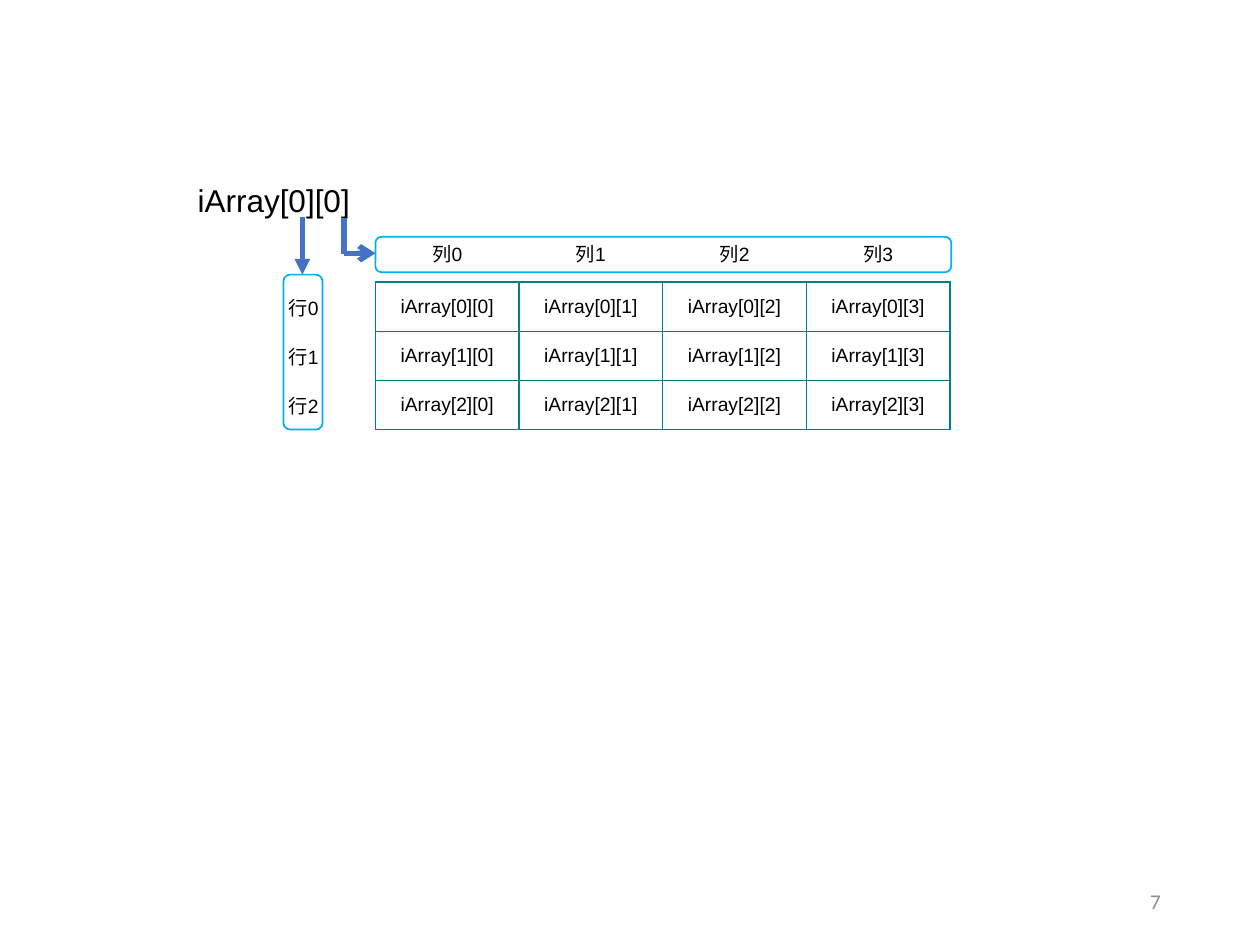
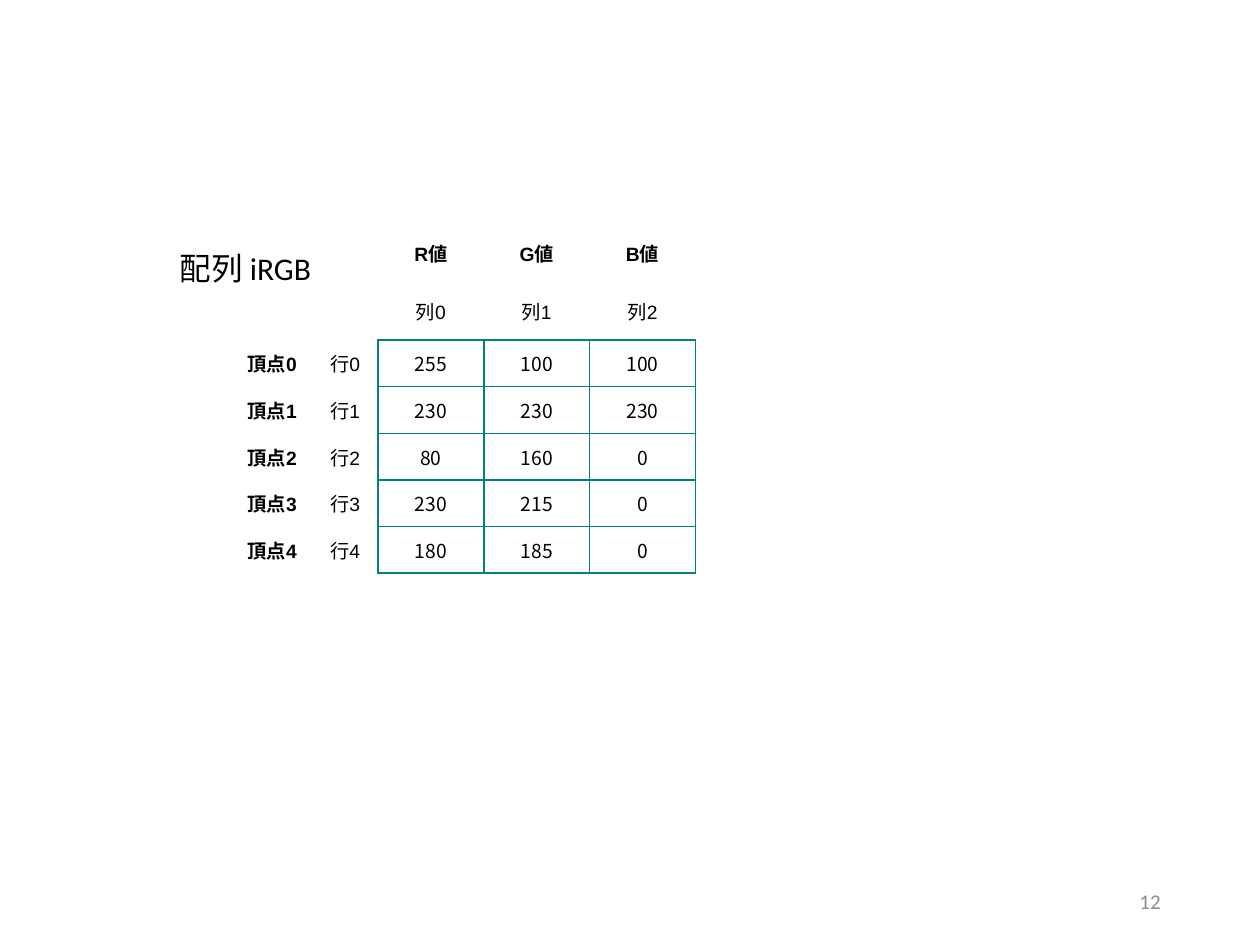
"""Builds two slides that show two-dimensional arrays as labelled grids."""
from lxml import etree
from pptx import Presentation
from pptx import util as u
from pptx.dml import color
from pptx.enum import shapes, text
from pptx.oxml import ns

COLORS = {"ink": "000000", "number": "8C8C8C", "grid": "008080",
          "frame": "00B0F0", "arrow": "4472C4"}
LATIN, SANS, CJK = "Arial", "Calibri", "Noto Sans CJK JP"
ORIGIN = (1.84, 1.78)
PAGE_NUMBER = (7.06, 6.95, 2.25, 0.4)
NUMBER_FORMAT = {"size": u.Pt(12), "name": SANS}
LABEL_FORMAT = {"size": u.Pt(11), "name": LATIN, "bold": False}
HEADING_FORMAT = {**LABEL_FORMAT, "bold": True}
VALUE_FORMAT = {**LABEL_FORMAT, "name": CJK}

RGB_VALUES = [(255, 100, 100), (230, 230, 230), (80, 160, 0),
              (230, 215, 0), (180, 185, 0)]

ARRAYS = [
    {"number": "7", "title": "iArray[0][0]", "title_font": LATIN,
     "title_box": (1.47, 1.39, 5, 0.4),
     "widths": [1.14] * 5, "heights": [0.46] + [0.39] * 3,
     "head_rows": 1, "head_columns": 1, "value_format": LABEL_FORMAT,
     "rows": [[""] + [f"列{c}" for c in range(4)]]
     + [[f"行{r}"] + [f"iArray[{r}][{c}]" for c in range(4)] for r in range(3)],
     "frames": [(2.25, 2.18, 0.31, 1.23), (2.98, 1.88, 4.57, 0.28)],
     "arrows": [((2.4, 1.72), (2.4, 2.18), "triangle"),
                ((2.73, 1.73), (2.73, 2.02), None),
                ((2.73, 2.01), (2.98, 2.01), "arrow")]},
    {"number": "12", "title": "配列 iRGB", "title_font": SANS,
     "title_box": (1.33, 1.93, 1.36, 0.4),
     "widths": [0.64, 0.52] + [0.84] * 3, "heights": [0.46] * 2 + [0.37] * 5,
     "head_rows": 2, "head_columns": 2, "value_format": VALUE_FORMAT,
     "rows": [["", "", "R値", "G値", "B値"],
              ["", ""] + [f"列{c}" for c in range(3)]]
     + [[f"頂点{r}", f"行{r}", *map(str, rgb)] for r, rgb in enumerate(RGB_VALUES)],
     "frames": [], "arrows": []},
]


def inches(values):
    return [u.Inches(value) for value in values]


def rgb(name):
    return color.RGBColor.from_string(COLORS[name])


def write(frame, words, font_format, align, ink="ink"):
    paragraph = frame.paragraphs[0]
    paragraph.alignment = align
    run = paragraph.add_run()
    run.text = words
    for key, value in font_format.items():
        setattr(run.font, key, value)
    run.font.color.rgb = rgb(ink)
    east_asian = etree.Element(ns.qn("a:ea"), typeface=CJK)
    run.font._element.find(ns.qn("a:latin")).addnext(east_asian)


def add_words(slide, box, words, font_format, align, anchor, ink="ink"):
    frame = slide.shapes.add_textbox(*inches(box)).text_frame
    frame.word_wrap = True
    frame.vertical_anchor = anchor
    write(frame, words, font_format, align, ink)


def set_border(cell, side, drawn):
    line = etree.SubElement(cell._tc.get_or_add_tcPr(), ns.qn(f"a:ln{side}"),
                            w=str(u.Pt(1)))
    if drawn:
        fill = etree.SubElement(line, ns.qn("a:solidFill"))
        etree.SubElement(fill, ns.qn("a:srgbClr"), val=COLORS["grid"])
    else:
        etree.SubElement(line, ns.qn("a:noFill"))


def add_grid(slide, array):
    rows, widths, heights = array["rows"], array["widths"], array["heights"]
    size = (sum(widths), sum(heights))
    grid = slide.shapes.add_table(len(rows), len(widths),
                                  *inches(ORIGIN + size)).table
    grid.first_row = grid.horz_banding = False
    for column, width in zip(grid.columns, widths):
        column.width = u.Inches(width)
    for row, height in zip(grid.rows, heights):
        row.height = u.Inches(height)

    def is_value(r, c):
        return (array["head_rows"] <= r < len(rows)
                and array["head_columns"] <= c < len(widths))

    for r, row in enumerate(rows):
        for c, words in enumerate(row):
            cell = grid.cell(r, c)
            neighbours = {"L": (r, c - 1), "R": (r, c + 1),
                          "T": (r - 1, c), "B": (r + 1, c)}
            for side, place in neighbours.items():
                set_border(cell, side, is_value(r, c) or is_value(*place))
            cell.fill.background()
            cell.vertical_anchor = text.MSO_ANCHOR.MIDDLE
            cell.margin_left = cell.margin_right = u.Inches(0.05)
            if is_value(r, c):
                font_format = array["value_format"]
            elif r < array["head_rows"] - 1 or c < array["head_columns"] - 1:
                font_format = HEADING_FORMAT
            else:
                font_format = LABEL_FORMAT
            if words:
                write(cell.text_frame, words, font_format, text.PP_ALIGN.CENTER)


def add_frame(slide, box):
    frame = slide.shapes.add_shape(shapes.MSO_SHAPE.ROUNDED_RECTANGLE, *inches(box))
    frame.shadow.inherit = False
    frame.fill.background()
    frame.line.color.rgb = rgb("frame")
    frame.line.width = u.Pt(1)


def add_arrow(slide, start, end, head):
    arrow = slide.shapes.add_connector(shapes.MSO_CONNECTOR.STRAIGHT,
                                       *inches(start + end))
    arrow.line.color.rgb = rgb("arrow")
    arrow.line.width = u.Pt(3)
    if head:
        etree.SubElement(arrow.line._get_or_add_ln(), ns.qn("a:tailEnd"), type=head)
    etree.SubElement(arrow._element.spPr, ns.qn("a:effectLst"))


def build():
    deck = Presentation()
    deck.slide_width, deck.slide_height = inches((10, 7.5))
    for array in ARRAYS:
        slide = deck.slides.add_slide(deck.slide_layouts[6])
        add_words(slide, PAGE_NUMBER, array["number"], NUMBER_FORMAT,
                  text.PP_ALIGN.RIGHT, text.MSO_ANCHOR.MIDDLE, "number")
        add_grid(slide, array)
        add_words(slide, array["title_box"], array["title"],
                  {"size": u.Pt(18), "name": array["title_font"]},
                  text.PP_ALIGN.LEFT, text.MSO_ANCHOR.TOP)
        for box in array["frames"]:
            add_frame(slide, box)
        for start, end, head in array["arrows"]:
            add_arrow(slide, start, end, head)
    deck.save("out.pptx")


build()
